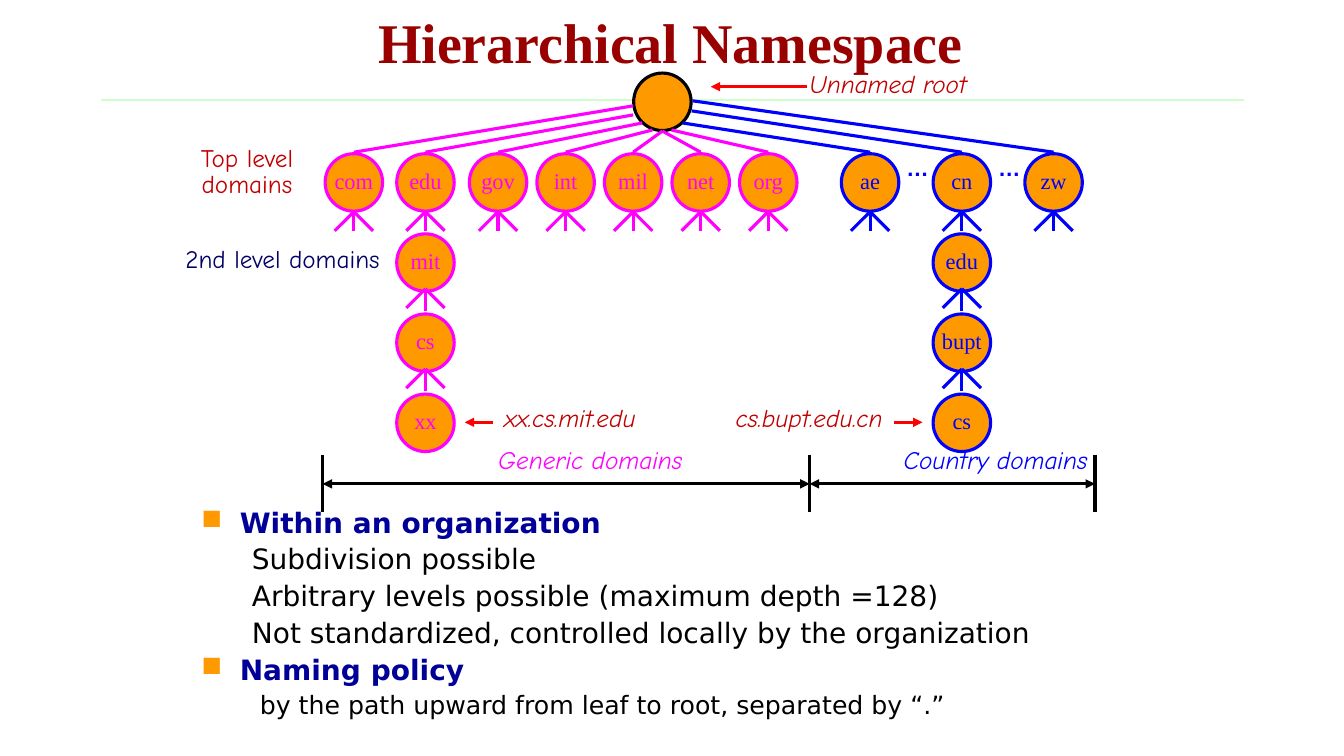
"""Build the slide on the hierarchical namespace of domain names."""
from lxml.etree import SubElement
from pptx import Presentation
from pptx.dml.color import RGBColor
from pptx.enum.shapes import MSO_CONNECTOR as Link, MSO_SHAPE as Preset
from pptx.enum.text import MSO_ANCHOR as Anchor, PP_ALIGN as Align
from pptx.oxml.ns import qn
from pptx.util import Inches, Pt

COLOR = {
    "title": "990000", "rule": "CCFFCC", "node": "FF9900", "generic": "FF00FF",
    "country": "0000FF", "black": "000000", "note": "C00000", "arrow": "FF0000",
    "second": "000066", "heading": "000099",
}
SERIF, HAND, SANS = "Times New Roman", "Comic Neue", "DejaVu Sans"
DIAMETER, ROW_TOP, ROW_STEP = 0.57, 1.81, 0.795
ROOT_X, ROOT_Y = 6.57, 1.01

deck = Presentation()
deck.slide_width, deck.slide_height = Inches(13.33), Inches(7.5)
slide = deck.slides.add_slide(deck.slide_layouts[5])
shapes = slide.shapes


def draw_line(start, end, color, width=2.25, head=False, tail=False):
    line = shapes.add_connector(Link.STRAIGHT, *map(Inches, (*start, *end)))
    line.line.color.rgb = RGBColor.from_string(COLOR[color])
    line.line.width = Pt(width)
    stroke = line.line._get_or_add_ln()
    for wanted, tag in ((head, "a:headEnd"), (tail, "a:tailEnd")):
        if wanted:
            SubElement(stroke, qn(tag), type="triangle")
    SubElement(line._element.spPr, qn("a:effectLst"))


def style(paragraph, text, size, font, color, bold=False, italic=False,
          align=Align.CENTER, spacing=0.85):
    paragraph.text = text
    paragraph.alignment, paragraph.line_spacing = align, spacing
    face = paragraph.runs[0].font
    face.size, face.name, face.bold, face.italic = Pt(size), font, bold, italic
    face.color.rgb = RGBColor.from_string(COLOR[color])


title = shapes.title
title.left, title.top, title.width, title.height = map(Inches, (1.84, 0, 9.62, 0.82))
title.text_frame.vertical_anchor = Anchor.MIDDLE
style(title.text_frame.paragraphs[0], "Hierarchical Namespace", 40, SERIF, "title",
      bold=True, spacing=1.0)
draw_line((1, 0.99), (12.34, 0.99), "rule", 1.5)

policy = [
    ("Within an organization", True, 20),
    ("Subdivision possible", False, 20),
    ("Arbitrary levels possible (maximum depth =128)", False, 20),
    ("Not standardized, controlled locally by the organization", False, 20),
    ("Naming policy", True, 20),
    (" by the path upward from leaf to root, separated by “.”", False, 18),
]
body = shapes.add_textbox(*map(Inches, (1.9, 5, 9.56, 2.5))).text_frame
body.word_wrap = True
for index, (text, heading, size) in enumerate(policy):
    point = body.add_paragraph() if index else body.paragraphs[0]
    style(point, text, size, SANS, "heading" if heading else "black",
          bold=heading, align=Align.LEFT, spacing=0.9)
    if index:
        point.space_before = Pt(4.7)
    margin, hang = (0.38, -0.38) if heading else (0.81, -0.31)
    settings = point._p.get_or_add_pPr()
    settings.set("marL", str(Inches(margin)))
    settings.set("indent", str(Inches(hang)))
    if heading:
        bullet_color = SubElement(settings, qn("a:buClr"))
        SubElement(bullet_color, qn("a:srgbClr"), val=COLOR["node"])
        SubElement(settings, qn("a:buChar"), char="■")

generic = ["com", "edu", "gov", "int", "mil", "net", "org"]
generic_x = [3.51, 4.22] + [4.94 + 0.67 * step for step in range(5)]
country_x = [8.63 + 0.91 * step for step in range(3)]
nodes = [("", ROOT_X, ROOT_Y, "black")]
nodes += [(name, x, ROW_TOP, "generic") for name, x in zip(generic, generic_x)]
nodes += [(name, x, ROW_TOP, "country") for name, x in zip(["ae", "cn", "zw"], country_x)]
chains = [(generic_x[1], "generic", ["mit", "cs", "xx"]),
          (country_x[1], "country", ["edu", "bupt", "cs"])]
for x, family, names in chains:
    nodes += [(name, x, ROW_TOP + ROW_STEP * row, family)
              for row, name in enumerate(names, 1)]

for name, x, y, family in nodes:
    node = shapes.add_shape(Preset.OVAL, Inches(x - DIAMETER / 2), Inches(y - DIAMETER / 2),
                            Inches(DIAMETER), Inches(DIAMETER))
    node.shadow.inherit = False
    node.fill.solid()
    node.fill.fore_color.rgb = RGBColor.from_string(COLOR["node"])
    node.line.color.rgb = RGBColor.from_string(COLOR[family])
    node.line.width = Pt(2.25)
    if name:
        node.text_frame.word_wrap = False
        node.text_frame.vertical_anchor = Anchor.MIDDLE
        style(node.text_frame.paragraphs[0], name, 16, SERIF, family)

last_row = ROW_TOP + 3 * ROW_STEP
for name, x, y, family in nodes[1:]:
    if y < last_row:
        fork = y + (0.29 if y == ROW_TOP else 0.26)
        draw_line((x, y + 0.29), (x, y + 0.48), family)
        for side in (-0.19, 0.19):
            draw_line((x, fork), (x + side, fork + 0.19), family)

root_exits = [(6.28, 1.05), (6.28, 1.14), (6.37, 1.22), (6.47, 1.29), (6.57, 1.3),
              (6.57, 1.3), (6.66, 1.29), (6.77, 1.22), (6.86, 1.1), (6.87, 1)]
for root_exit, (name, x, y, family) in zip(root_exits, nodes[1:]):
    draw_line(root_exit, (x, 1.51), family)

borders = [3.2, 8.03, 10.86]
for x in borders:
    draw_line((x, 4.51), (x, 5.08), "black")
for left, right in zip(borders, borders[1:]):
    draw_line((left, 4.8), (right, 4.8), "black", head=True, tail=True)

for start, end, y in [(8, 7.05, 0.86), (4.89, 4.61, 4.19), (8.87, 9.15, 4.19)]:
    draw_line((start, y), (end, y), "arrow", tail=True)

labels = [
    ("Generic domains", 4.3, 4.41, 3.11, "generic", True, Align.CENTER),
    ("Country domains", 8.32, 4.41, 3.11, "country", True, Align.CENTER),
    ("Unnamed root", 7.36, 0.67, 2.9, "note", True, Align.CENTER),
    ("xx.cs.mit.edu", 4.72, 3.99, 1.87, "note", True, Align.CENTER),
    ("cs.bupt.edu.cn", 7.09, 3.99, 1.87, "note", True, Align.CENTER),
    ("Top level domains", 1.82, 1.41, 1.26, "note", False, Align.CENTER),
    ("2nd level domains", 1.74, 2.41, 3.38, "second", False, Align.LEFT),
]
for text, x, y, width, color, italic, align in labels:
    height = 0.7 if text.startswith("Top") else 0.4
    label = shapes.add_textbox(*map(Inches, (x, y, width, height))).text_frame
    label.word_wrap = True
    style(label.paragraphs[0], text, 18, HAND, color, italic=italic, align=align)
for x in country_x[:2]:
    gap = shapes.add_textbox(*map(Inches, (x + 0.23, 1.52, 0.48, 0.37))).text_frame
    gap.word_wrap = True
    style(gap.paragraphs[0], "…", 16, "Arial", "country", bold=True)

deck.save("out.pptx")
